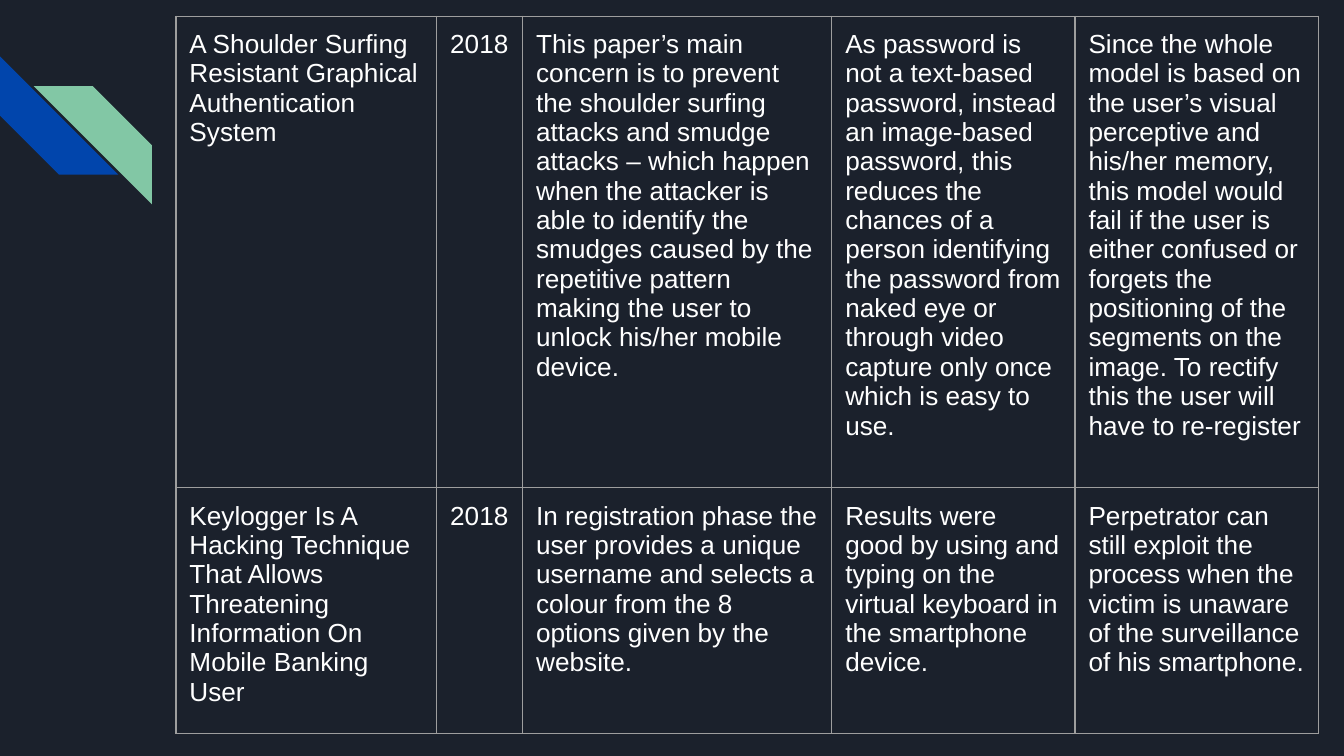
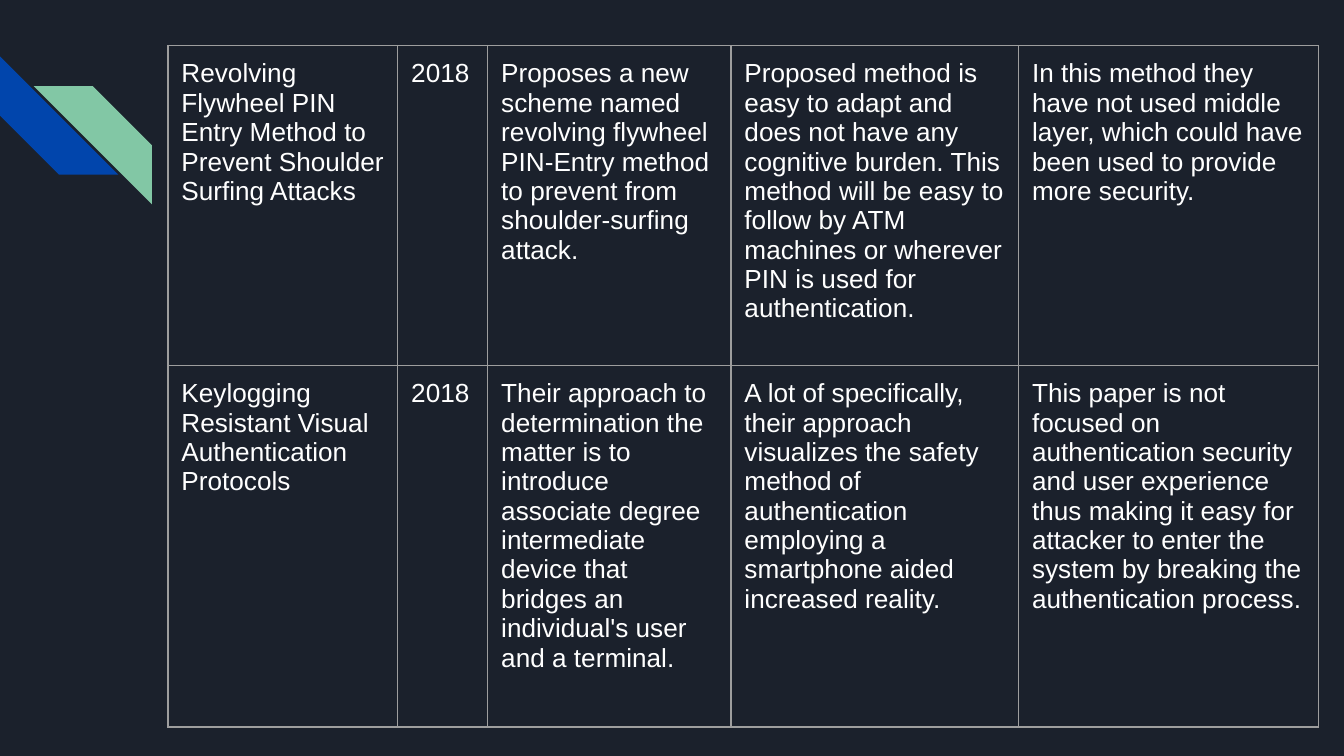
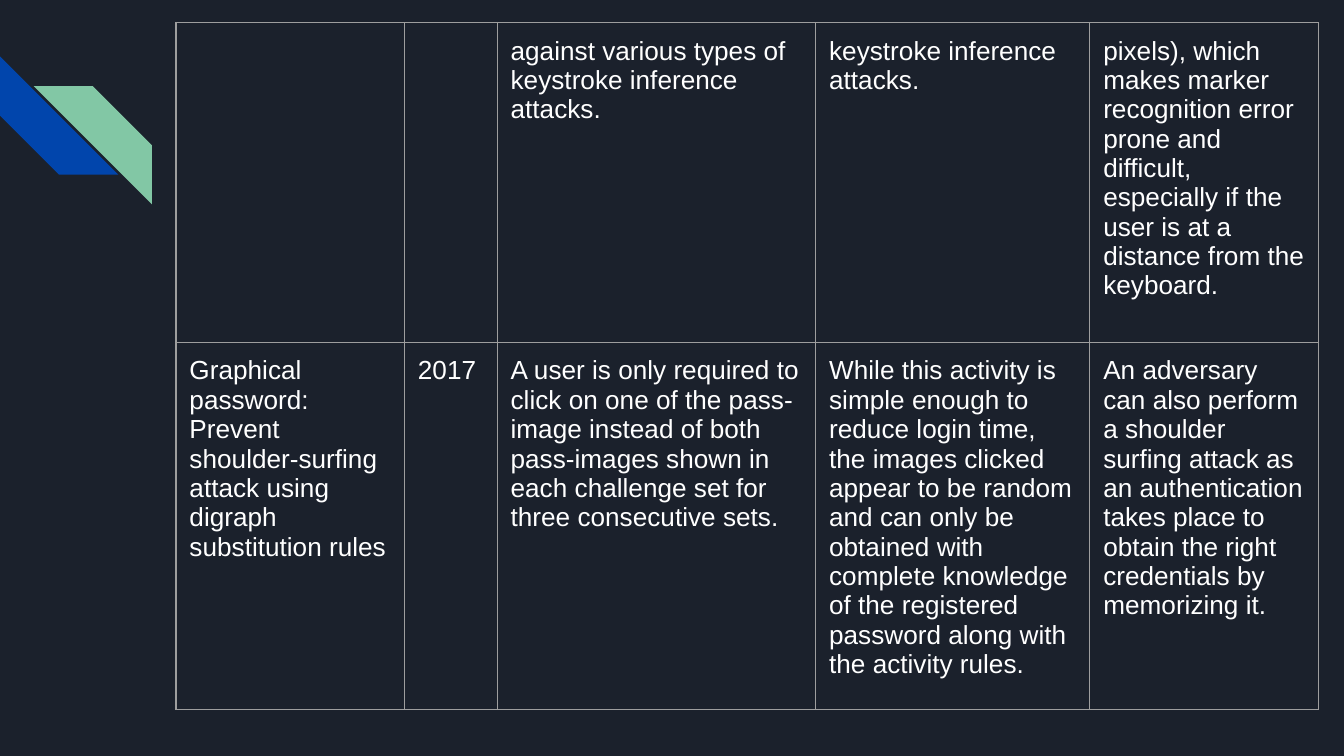
from lxml import etree
from pptx import Presentation
from pptx.dml.color import RGBColor
from pptx.enum import shapes as kinds
from pptx.oxml import ns
from pptx.util import Inches, Pt

NAVY = RGBColor(0x1B, 0x21, 0x2C)
BLUE = RGBColor(0x01, 0x45, 0xAC)
GREEN = RGBColor(0x82, 0xC7, 0xA5)
WHITE = RGBColor(0xFF, 0xFF, 0xFF)
GREY = RGBColor(0x9E, 0x9E, 0x9E)
FONT = "Arial"

# Each survey page: table corner, column widths, row heights, cell texts
PAGES = [
    ((1.31, 0.12), (1.94, 0.64, 2.3, 1.81, 1.81), (3.51, 1.83), [
        ("A Shoulder Surfing Resistant Graphical Authentication System",
         "2018",
         "This paper’s main concern is to prevent the shoulder surfing "
         "attacks and smudge attacks – which happen when the attacker is "
         "able to identify the smudges caused by the repetitive pattern "
         "making the user to unlock his/her mobile device.",
         "As password is not a text-based password, instead an image-based "
         "password, this reduces the chances of a person identifying the "
         "password from naked eye or through video capture only once which "
         "is easy to use.",
         "Since the whole model is based on the user’s visual perceptive "
         "and his/her memory, this model would fail if the user is either "
         "confused or forgets the positioning of the segments on the image. "
         "To rectify this the user will have to re-register"),
        ("Keylogger Is A Hacking Technique That Allows Threatening "
         "Information On Mobile Banking User",
         "2018",
         "In registration phase the user provides a unique username and "
         "selects a colour from the 8 options given by the website.",
         "Results were good by using and typing on the virtual keyboard in "
         "the smartphone device.",
         "Perpetrator can still exploit the process when the victim is "
         "unaware of the surveillance of his smartphone."),
    ]),
    ((1.25, 0.34), (1.71, 0.67, 1.81, 2.14, 2.23), (2.38, 2.69), [
        ("Revolving Flywheel PIN Entry Method to Prevent Shoulder Surfing "
         "Attacks",
         "2018",
         "Proposes a new scheme named revolving flywheel PIN-Entry method "
         "to prevent from shoulder-surfing attack.",
         "Proposed method is easy to adapt and does not have any cognitive "
         "burden. This method will be easy to follow by ATM machines or "
         "wherever PIN is used for authentication.",
         "In this method they have not used middle layer, which could have "
         "been used to provide more security."),
        ("Keylogging Resistant Visual Authentication Protocols",
         "2018",
         "Their approach to determination the matter is to introduce "
         "associate degree intermediate device that bridges an individual's "
         "user and a terminal.",
         "A lot of specifically, their approach visualizes the safety "
         "method of authentication employing a smartphone aided increased "
         "reality.",
         "This paper is not focused on authentication security and user "
         "experience thus making it easy for attacker to enter the system "
         "by breaking the authentication process."),
    ]),
    ((1.31, 0.17), (1.7, 0.69, 2.37, 2.04, 1.7), (2.38, 2.73), [
        ("",
         "",
         "against various types of keystroke inference attacks.",
         "keystroke inference attacks.",
         "pixels), which makes marker recognition error prone and "
         "difficult, especially if the user is at a distance from the "
         "keyboard."),
        ("Graphical password: Prevent shoulder-surfing attack using digraph "
         "substitution rules",
         "2017",
         "A user is only required to click on one of the pass-image instead "
         "of both pass-images shown in each challenge set for three "
         "consecutive sets.",
         "While this activity is simple enough to reduce login time, the "
         "images clicked appear to be random and can only be obtained with "
         "complete knowledge of the registered password along with the "
         "activity rules.",
         "An adversary can also perform a shoulder surfing attack as an "
         "authentication takes place to obtain the right credentials by "
         "memorizing it."),
    ]),
]


def add_stripe(slide, left, top, color):
    side = Inches(0.88)
    stripe = slide.shapes.add_shape(kinds.MSO_SHAPE.DIAGONAL_STRIPE,
                                    Inches(left), Inches(top), side, side)
    stripe.shadow.inherit = False
    stripe.fill.solid()
    stripe.fill.fore_color.rgb = color
    stripe.line.fill.background()
    return stripe


def brand(layout, slide):
    """Give the layout its background and stripes, drawn first on a slide."""
    for holder in list(layout.placeholders):
        layout.shapes.element.remove(holder.element)
    layout.background.fill.solid()
    layout.background.fill.fore_color.rgb = NAVY
    blue = add_stripe(slide, 0, 0.42, BLUE)
    blue.rotation = 270
    green = add_stripe(slide, 0.25, 0.64, GREEN)
    green.element.spPr.get_or_add_xfrm().set("flipH", "1")
    for stripe in (blue, green):
        layout.shapes.element.append(stripe.element)


def set_border(cell):
    props = cell._tc.get_or_add_tcPr()
    for side in ("a:lnL", "a:lnR", "a:lnT", "a:lnB"):
        line = etree.SubElement(props, ns.qn(side), w=str(Pt(0.75)))
        fill = etree.SubElement(line, ns.qn("a:solidFill"))
        etree.SubElement(fill, ns.qn("a:srgbClr"), val=str(GREY))


def fill_cell(cell, words):
    set_border(cell)
    cell.fill.background()
    cell.margin_left = cell.margin_right = Inches(0.1)
    cell.margin_top = cell.margin_bottom = Inches(0.1)
    if words:
        run = cell.text_frame.paragraphs[0].add_run()
        run.text = words
        run.font.name = FONT
        run.font.size = Pt(14)
        run.font.color.rgb = WHITE


def add_survey(slide, corner, widths, heights, rows):
    left, top = corner
    table = slide.shapes.add_table(
        len(heights), len(widths), Inches(left), Inches(top),
        Inches(sum(widths)), Inches(sum(heights))).table
    table.first_row = table.horz_banding = False
    for column, width in zip(table.columns, widths):
        column.width = Inches(width)
    for row, height, texts in zip(table.rows, heights, rows):
        row.height = Inches(height)
        for cell, words in zip(row.cells, texts):
            fill_cell(cell, words)


def main():
    deck = Presentation()
    deck.slide_width = Inches(10)
    deck.slide_height = deck.slide_width * 9 // 16
    layout = deck.slide_layouts[6]
    slides = [deck.slides.add_slide(layout) for _ in PAGES]
    brand(layout, slides[0])
    for slide, page in zip(slides, PAGES):
        add_survey(slide, *page)
    deck.save("out.pptx")


if __name__ == "__main__":
    main()
